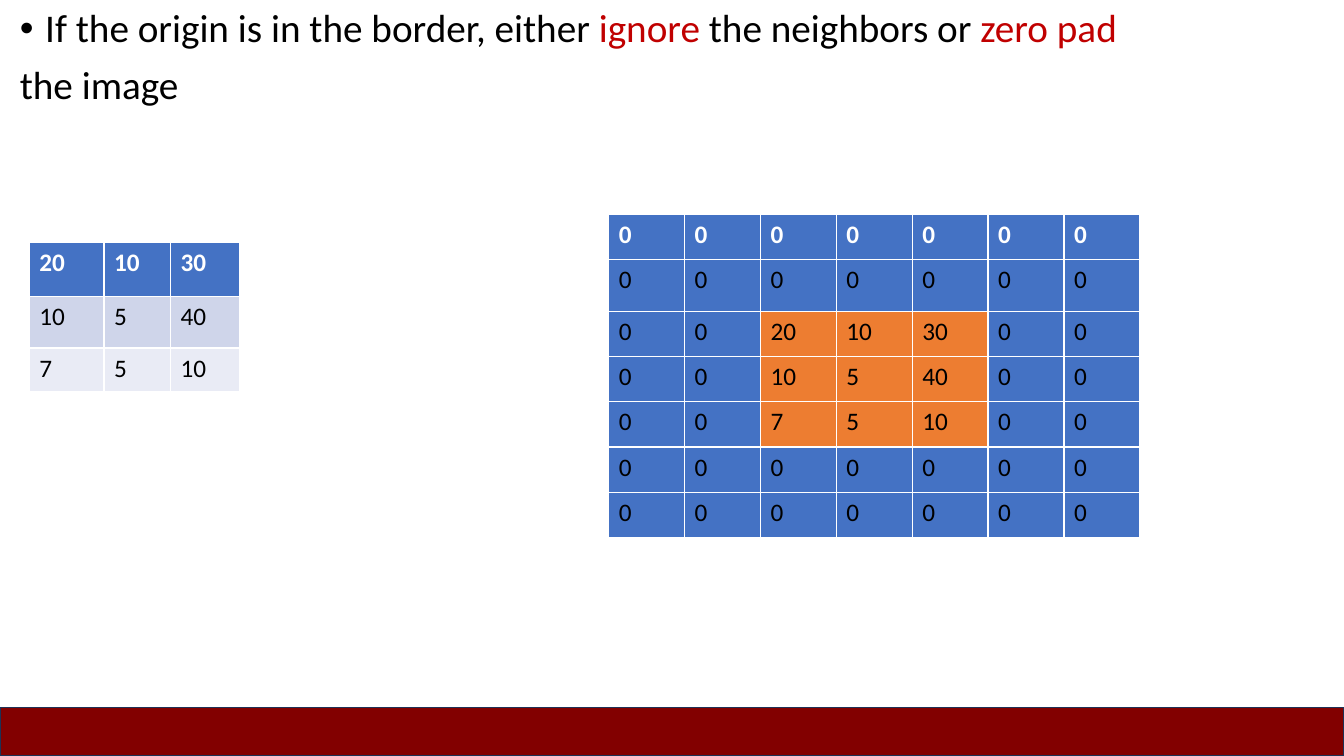
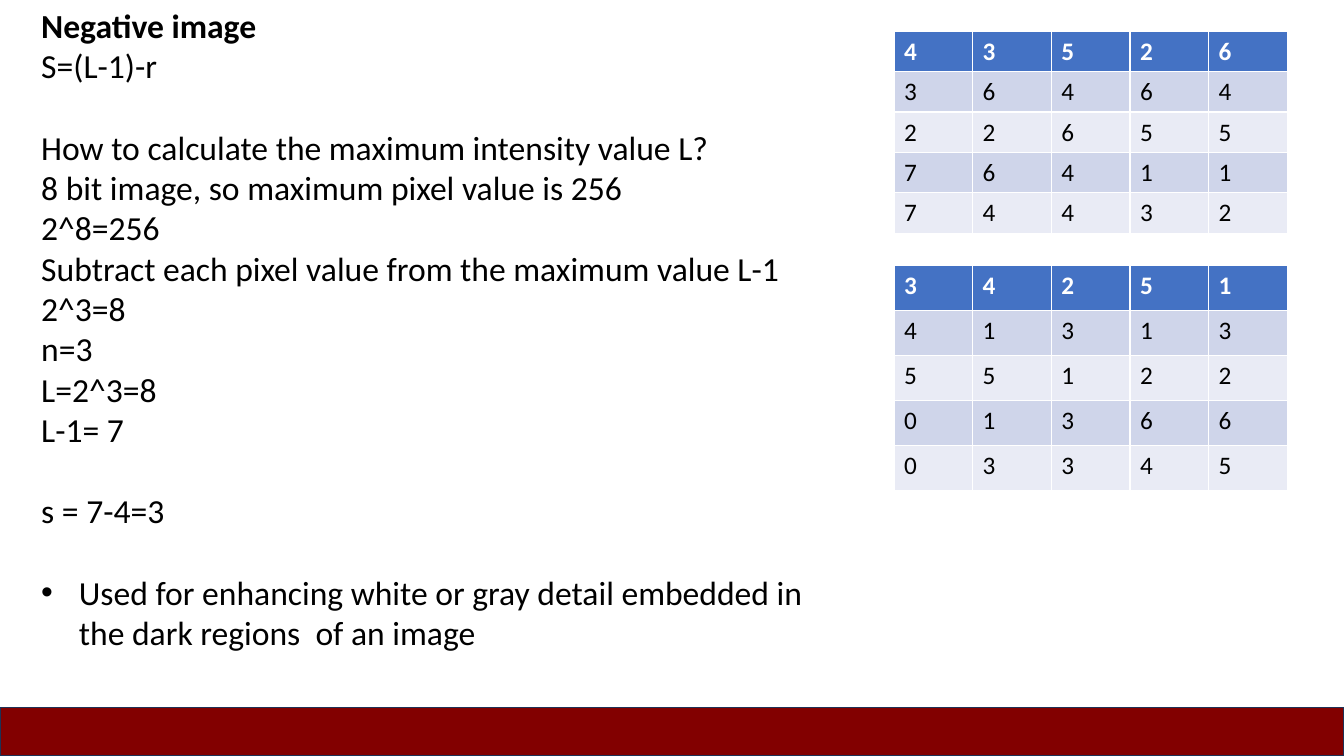
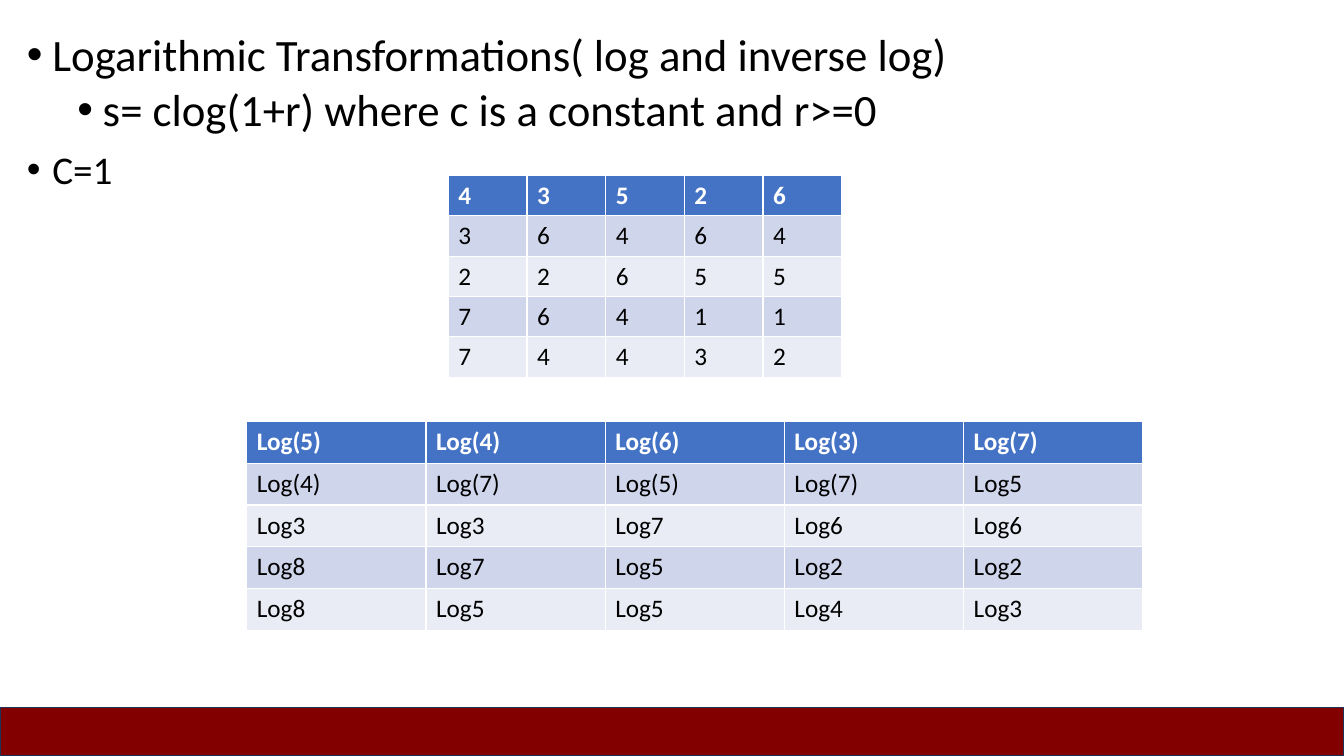
from dataclasses import dataclass
from pptx import Presentation
from pptx.dml.color import RGBColor
from pptx.enum.shapes import MSO_SHAPE
from pptx.oxml import parse_xml
from pptx.oxml.ns import nsdecls
from pptx.util import Cm, Pt

FONT = "Calibri"
BLACK, WHITE, RED = "000000", "FFFFFF", "C00000"
BLUE, ORANGE = "4472C4", "ED7D31"
STRIPES = ["E9EBF5", "CFD5EA"]
MAROON, NAVY = "820000", "1E3256"
WIDE, TALL = 33.87, 19.05

SMALL = [[20, 10, 30], [10, 5, 40], [7, 5, 10]]
PIXELS = [
    [4, 3, 5, 2, 6],
    [3, 6, 4, 6, 4],
    [2, 2, 6, 5, 5],
    [7, 6, 4, 1, 1],
    [7, 4, 4, 3, 2],
]


@dataclass
class Line:
    spans: list
    size: int = 28
    indent: float = 0
    hang: float = 0
    before: float = 0
    space: float = 1.0
    level: int = 0
    bold: bool = False


def paint(fill, color):
    fill.solid()
    fill.fore_color.rgb = RGBColor.from_string(color)


def style(run, size, color=BLACK, bold=False):
    run.font.name = FONT
    run.font.size = Pt(size)
    run.font.bold = bold
    paint(run.font.fill, color)


def bullet(para, indent, hang):
    props = para._p.get_or_add_pPr()
    props.set("marL", str(Cm(indent)))
    props.set("indent", str(-Cm(hang)))
    for tag in ('buFont typeface="Arial"', 'buChar char="•"'):
        name, rest = tag.split(" ", 1)
        props.append(parse_xml(f"<a:{name} {nsdecls('a')} {rest}/>"))


def write(slide, box, lines):
    frame = slide.shapes.add_textbox(*map(Cm, box)).text_frame
    frame.word_wrap = True
    frame.text = "\n".join("" for _ in lines)
    for para, line in zip(frame.paragraphs, lines):
        para.level = line.level
        para.line_spacing = line.space
        para.space_before = Pt(line.before)
        for text, color in line.spans:
            run = para.add_run()
            run.text = text
            style(run, line.size, color, line.bold)
        if line.hang:
            bullet(para, line.indent, line.hang)


def stripe(row, col):
    return BLUE if row == 0 else STRIPES[row % 2]


def padded(row, col):
    return ORANGE if 2 <= row < 5 and 2 <= col < 5 else BLUE


def grid(slide, box, data, widths=None, heights=None, fill=stripe):
    rows, cols = len(data), len(data[0])
    table = slide.shapes.add_table(rows, cols, *map(Cm, box)).table
    for col, width in zip(table.columns, widths or [box[2] / cols] * cols):
        col.width = Cm(width)
    for row, height in zip(table.rows, heights or [box[3] / rows] * rows):
        row.height = Cm(height)
    for r, values in enumerate(data):
        for c, value in enumerate(values):
            cell = table.cell(r, c)
            cell.text = str(value)
            paint(cell.fill, fill(r, c))
            head = r == 0
            style(cell.text_frame.paragraphs[0].runs[0], 18,
                  WHITE if head else BLACK, head)


def footer(slide):
    box = (0, 17.83, WIDE, TALL - 17.83)
    band = slide.shapes.add_shape(MSO_SHAPE.RECTANGLE, *map(Cm, box))
    band.shadow.inherit = False
    paint(band.fill, MAROON)
    paint(band.line.fill, NAVY)
    band.line.width = Pt(1)


def point(spans, size=28, level=0):
    return Line(spans, size, 0.64 + 1.27 * level, 0.64,
                10 - 5 * level, 0.9, level)


def border(slide):
    write(slide, (0.25, 0.1, 33.27, 18.64), [
        point([("If the origin is in the border, either ", BLACK),
               ("ignore ", RED),
               ("the neighbors or ", BLACK),
               ("zero pad", RED)]),
        Line([("the image", BLACK)], before=10, space=0.9),
    ])
    grid(slide, (0.74, 6.12, 5.31, 3.74), SMALL,
         [1.88, 1.68, 1.75], [1.35, 1.3, 1.09])
    edge = [[0] * 7] * 2
    middle = [[0, 0, *row, 0, 0] for row in SMALL]
    grid(slide, (15.34, 5.41, 13.39, 8.14), edge + middle + edge,
         heights=[1.14, 1.3] + [1.14] * 5, fill=padded)


def negative(slide):
    size, gap = 24, 29.3
    groups = [
        ["S=(L-1)-r"],
        ["How to calculate the maximum intensity value L?",
         "8 bit image, so maximum pixel value is 256",
         "2^8=256",
         "Subtract each pixel value from the maximum value L-1",
         "2^3=8",
         "n=3",
         "L=2^3=8",
         "L-1= 7"],
        ["s = 7-4=3"],
    ]
    lines = [Line([("Negative image", BLACK)], size, bold=True)]
    for g, group in enumerate(groups):
        for i, text in enumerate(group):
            before = gap if g and i == 0 else 0
            lines.append(Line([(text, BLACK)], size, before=before))
    use = ("Used for enhancing white or gray detail embedded in "
           "the dark regions  of an image")
    lines.append(Line([(use, BLACK)], size, 0.95, 0.95, gap))
    write(slide, (0.79, 0, 20.98, 17.45), lines)
    grid(slide, (22.53, 0.79, 9.91, 5.08), PIXELS)
    grid(slide, (22.53, 6.68, 9.91, 5.69),
         [[7 - value for value in row] for row in PIXELS])


def log(row, col, value):
    return f"Log({value + 1})" if row * 5 + col < 9 else f"Log{value + 1}"


def logs(slide):
    write(slide, (0.43, 0.69, 33.07, 17.63), [
        point([("Logarithmic Transformations( log and inverse log)", BLACK)],
              32),
        point([("s= clog(1+r) where c is a constant and r>=0", BLACK)], 32, 1),
        point([("C=1", BLACK)]),
    ])
    grid(slide, (11.3, 4.42, 9.91, 5.08), PIXELS)
    grid(slide, (6.22, 10.62, 22.58, 5.26),
         [[log(r, c, value) for c, value in enumerate(row)]
          for r, row in enumerate(PIXELS)])


def main():
    deck = Presentation()
    deck.slide_width, deck.slide_height = Cm(WIDE), Cm(TALL)
    for build in (border, negative, logs):
        slide = deck.slides.add_slide(deck.slide_layouts[6])
        build(slide)
        footer(slide)
    deck.save("out.pptx")


if __name__ == "__main__":
    main()
